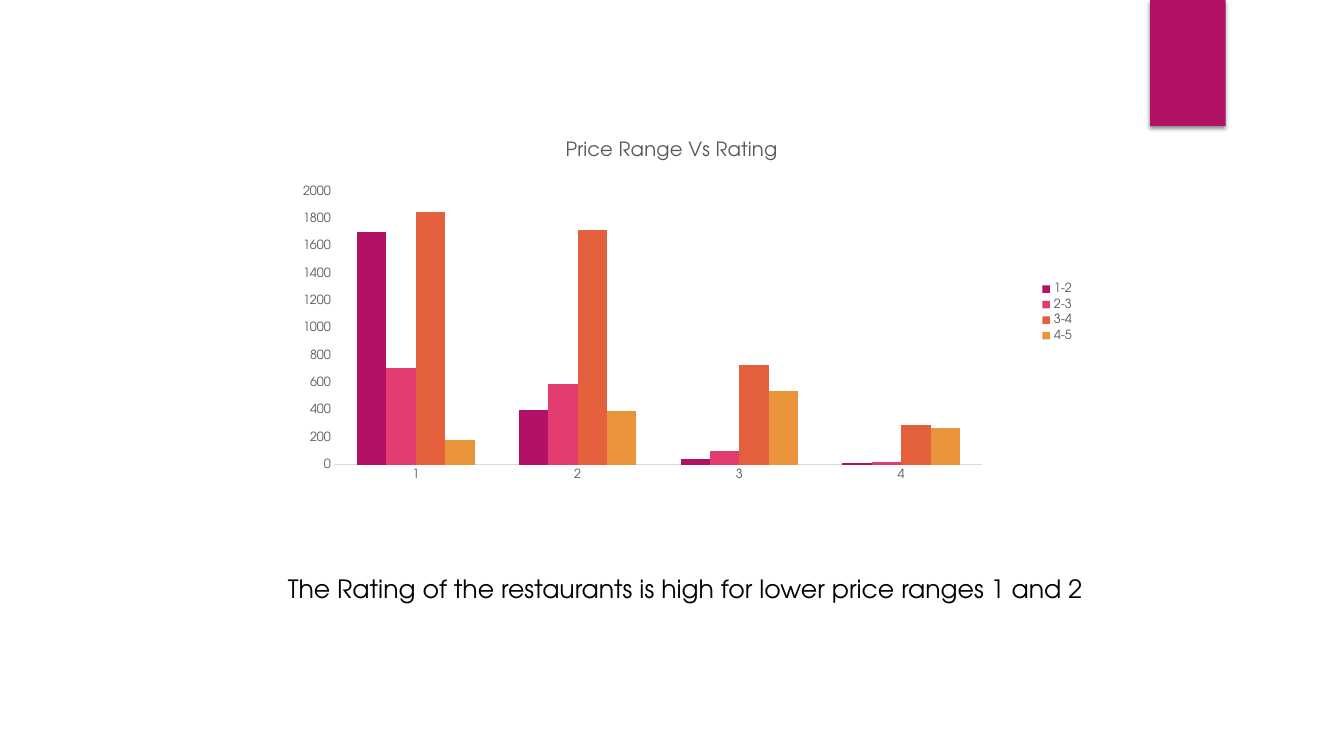
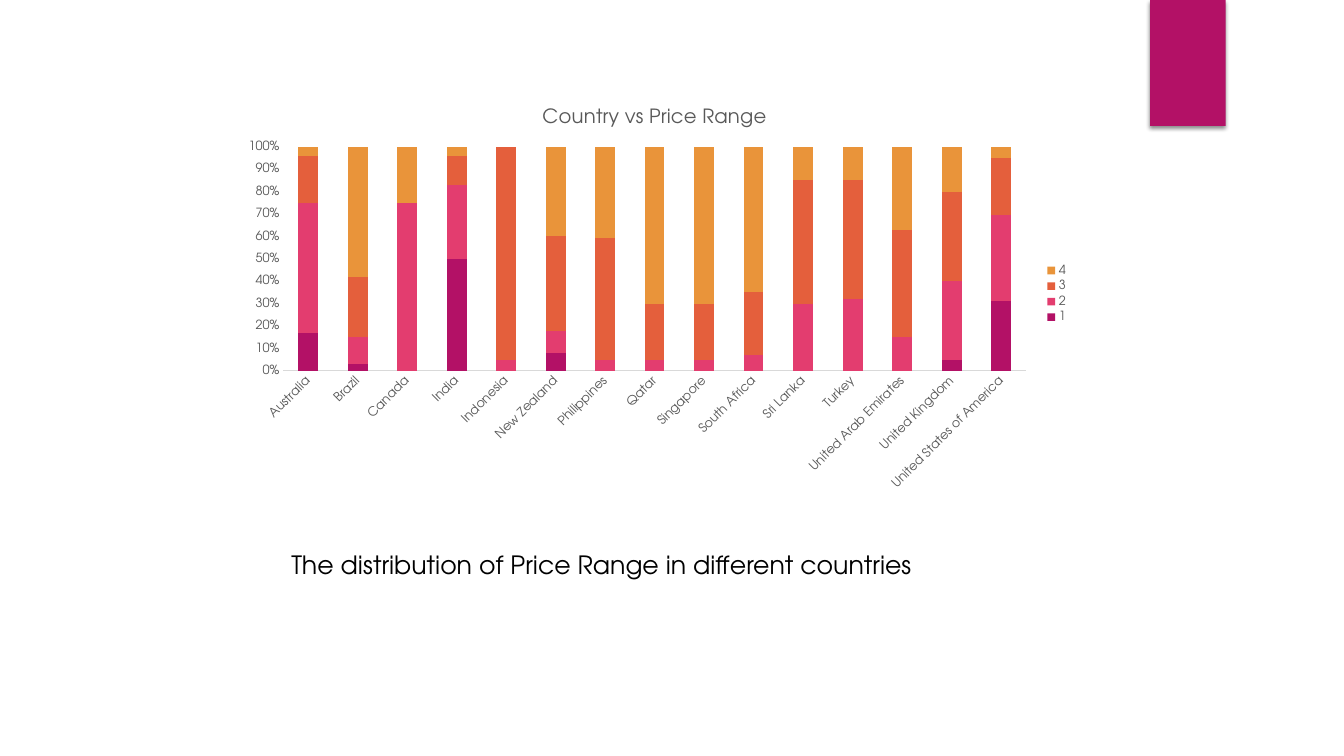
from lxml import etree
from pptx import Presentation
from pptx.chart.data import CategoryChartData
from pptx.dml.color import RGBColor
from pptx.enum.chart import XL_CHART_TYPE as CT, XL_LEGEND_POSITION as LP, XL_TICK_MARK as TM
from pptx.enum.shapes import MSO_SHAPE
from pptx.oxml import parse_xml
from pptx.oxml.ns import nsdecls, qn
from pptx.util import Pt

FONT = "TeX Gyre Adventor"
COLORS = {
    "magenta": "B31166",
    "pink": "E33D6F",
    "orange": "E45F3C",
    "amber": "E9943A",
    "grey": "595959",
    "axis": "D9D9D9",
    "text": "000000",
}
SERIES_COLORS = ["magenta", "pink", "orange", "amber"]
SHADOW = f"""<a:effectLst {nsdecls('a')}>
<a:outerShdw blurRad="38100" dist="25400" dir="5400000" rotWithShape="0">
<a:srgbClr val="000000"><a:alpha val="45000"/></a:srgbClr>
</a:outerShdw></a:effectLst>"""

SLIDES = [
    {
        "title": "Price Range Vs Rating",
        "type": CT.COLUMN_CLUSTERED,
        "box": (185, 87.8, 589.7, 270.7),
        "plot": (0.092, 0.181, 0.784, 0.721),
        "scale": (2000, 200, "General"),
        "overlap": 0,
        "rotation": 0,
        "categories": ["1", "2", "3", "4"],
        "series": {
            "1-2": [1700, 400, 40, 10],
            "2-3": [710, 590, 100, 20],
            "3-4": [1850, 1720, 730, 290],
            "4-5": [180, 390, 540, 270],
        },
        "caption": "The Rating of the restaurants is high for lower price ranges 1 and 2",
        "caption_box": (198.5, 406, 676, 29),
    },
    {
        "title": "Country vs Price Range",
        "type": CT.COLUMN_STACKED_100,
        "box": (164.9, 64.1, 605.5, 291.6),
        "plot": (0.062, 0.14, 0.876, 0.549),
        "scale": (1, 0.1, "0%"),
        "overlap": 100,
        "rotation": -45,
        "categories": [
            "Australia", "Brazil", "Canada", "India", "Indonesia",
            "New Zealand", "Philippines", "Qatar", "Singapore", "South Africa",
            "Sri Lanka", "Turkey", "United Arab Emirates", "United Kingdom",
            "United States of America",
        ],
        "series": {
            "1": [17, 3, None, 50, None, 8] + [None] * 7 + [5, 31],
            "2": [58, 12, 75, 33, 5, 10, 5, 5, 5, 7, 30, 32, 15, 35, 38],
            "3": [21, 27, None, 13, 95, 42, 55, 25, 25, 28, 55, 53, 48, 40, 25],
            "4": [4, 58, 25, 4, None, 40, 41, 70, 70, 65, 15, 15, 37, 20, 5],
        },
        "caption": "The distribution of Price Range in different countries",
        "caption_box": (201, 388.8, 621, 29),
    },
]


def rgb(name):
    return RGBColor.from_string(COLORS[name])


def style_font(font, size, color):
    font.name = FONT
    font.size = Pt(size)
    font.bold = False
    font.color.rgb = rgb(color)


prs = Presentation()
prs.slide_width, prs.slide_height = Pt(960), Pt(540)

for content in SLIDES:
    s = prs.slides.add_slide(prs.slide_layouts[6])

    tab = s.shapes.add_shape(MSO_SHAPE.RECTANGLE, Pt(821.5), Pt(0), Pt(54), Pt(90))
    tab.fill.solid()
    tab.fill.fore_color.rgb = rgb("magenta")
    tab.line.fill.background()
    tab.element.spPr.append(parse_xml(SHADOW))

    data = CategoryChartData()
    data.categories = content["categories"]
    for name, values in content["series"].items():
        data.add_series(name, values)
    box = [Pt(v) for v in content["box"]]
    chart = s.shapes.add_chart(content["type"], *box, data).chart
    style_font(chart.font, 10, "text")

    chart.has_title = True
    p = chart.chart_title.text_frame.paragraphs[0]
    p.text = content["title"]
    style_font(p.font, 14, "grey")

    chart.has_legend = True
    chart.legend.position = LP.RIGHT
    chart.legend.include_in_layout = False
    style_font(chart.legend.font, 9, "grey")

    for axis in (chart.category_axis, chart.value_axis):
        axis.major_tick_mark = axis.minor_tick_mark = TM.NONE
        axis.has_major_gridlines = False
        style_font(axis.tick_labels.font, 9, "grey")
    chart.category_axis.format.line.color.rgb = rgb("axis")
    chart.category_axis.format.line.width = Pt(0.75)
    labels = chart.category_axis._element.find(qn("c:txPr")).find(qn("a:bodyPr"))
    labels.set("rot", str(content["rotation"] * 60000))

    axis = chart.value_axis
    axis.format.line.fill.background()
    axis.minimum_scale = 0
    axis.maximum_scale, axis.major_unit, axis.tick_labels.number_format = content["scale"]
    axis.tick_labels.number_format_is_linked = False

    plot = chart.plots[0]
    plot.gap_width = 150
    plot.overlap = content["overlap"]
    plot.vary_by_categories = False
    for series, color in zip(plot.series, SERIES_COLORS):
        series.format.fill.solid()
        series.format.fill.fore_color.rgb = rgb(color)

    area = chart._chartSpace.find(".//" + qn("c:plotArea"))
    for old in area.findall(qn("c:layout")):
        area.remove(old)
    layout = etree.Element(qn("c:layout"))
    manual = etree.SubElement(layout, qn("c:manualLayout"))
    settings = [("layoutTarget", "inner"), ("xMode", "edge"), ("yMode", "edge")]
    for key, value in settings + list(zip("xywh", content["plot"])):
        etree.SubElement(manual, qn(f"c:{key}"), val=str(value))
    area.insert(0, layout)

    tf = s.shapes.add_textbox(*[Pt(v) for v in content["caption_box"]]).text_frame
    tf.word_wrap = True
    p = tf.paragraphs[0]
    p.text = content["caption"]
    style_font(p.font, 18, "text")

prs.save("out.pptx")
